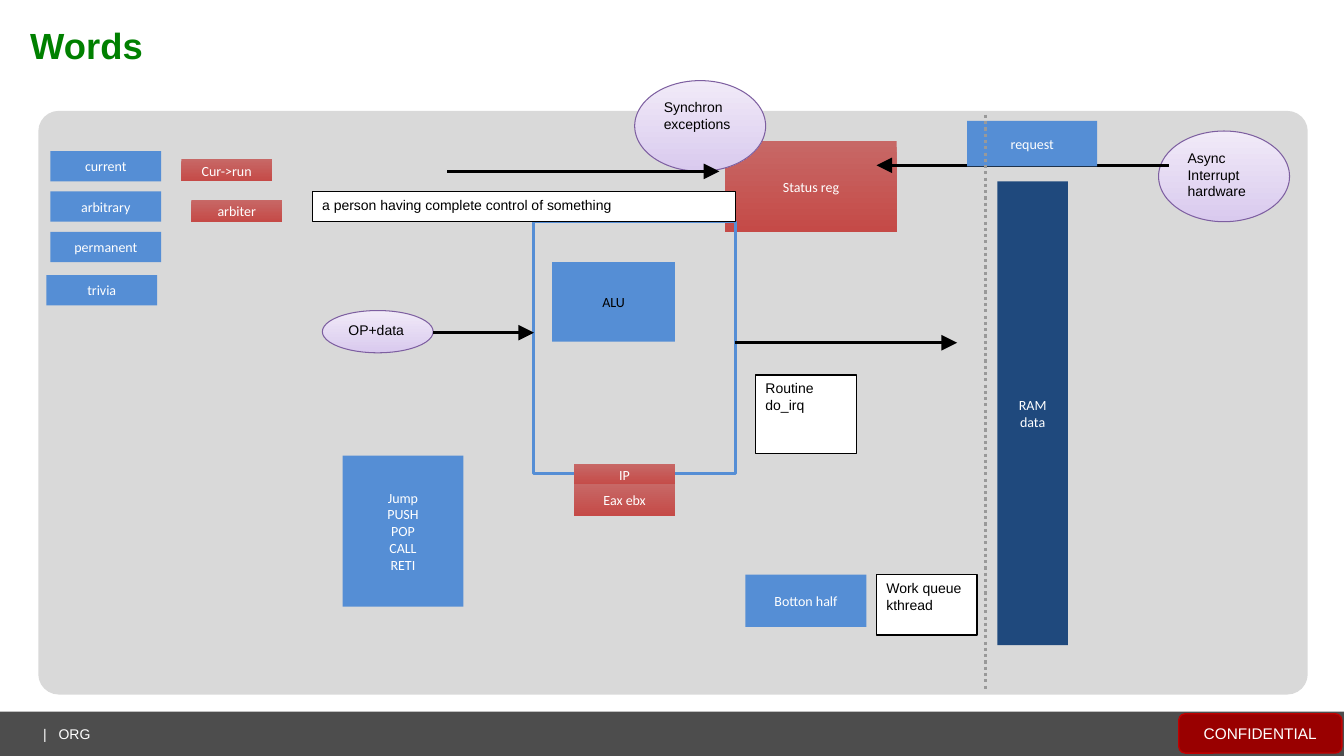
from collections import namedtuple
from dataclasses import dataclass

from lxml.etree import SubElement
from pptx import Presentation
from pptx.dml.color import RGBColor
from pptx.enum.dml import MSO_LINE
from pptx.enum.shapes import MSO_CONNECTOR, MSO_SHAPE
from pptx.enum.text import MSO_ANCHOR, MSO_AUTO_SIZE, PP_ALIGN
from pptx.oxml import parse_xml
from pptx.oxml.ns import nsdecls, qn
from pptx.util import Pt

Box = namedtuple("Box", "x y w h")
Style = namedtuple("Style", "fill line width ink font centred", defaults=(None, 0, "FFFFFF", "Calibri", True))


@dataclass(frozen=True)
class Theme:
    sans: str = "Arial"
    title_ink: str = "008000"
    arrow: str = "000000"
    divider: str = "999999"
    stroke: float = 2.25
    title_size: int = 26
    badge_size: int = 11
    body_size: int = 10
    blue: Style = Style(["558ED5"])
    alu: Style = Style(["558ED5"], ink="000000")
    navy: Style = Style(["1F497D"])
    red: Style = Style(["C76866", "C54A47"])
    lilac: Style = Style(["F1EAF8", "D9CAEE"], "7D5FA0", 0.75, "000000", "Arial", False)
    note: Style = Style(["FFFFFF"], "000000", 1, "000000", "Arial", False)
    core: Style = Style([], "558ED5", 2.25)
    panel: Style = Style(["D9D9D9"])
    footer: Style = Style(["4D4D4D"])
    badge: Style = Style(["990000"], "C00000", 1, "FFFFFF", "Arial")


T = Theme()


def place(sp, box):
    sp.left, sp.top, sp.width, sp.height = map(Pt, box)


def format_text(tf, text, size, ink, font, align, bold=False):
    tf.text = text
    tf.word_wrap = True
    for p in tf.paragraphs:
        p.alignment = align
        p.font.size = Pt(size)
        p.font.name = font
        p.font.bold = bold
        p.font.color.rgb = RGBColor.from_string(ink)


def add_box(slide, box, style, text="", kind=MSO_SHAPE.RECTANGLE, size=T.body_size):
    sp = slide.shapes.add_shape(kind, *map(Pt, box))
    sp.shadow.inherit = False
    colours = [RGBColor.from_string(c) for c in style.fill]
    if len(colours) == 2:
        sp.fill.gradient()
        sp.fill.gradient_angle = 270
        for stop, colour in zip(sp.fill.gradient_stops, colours):
            stop.color.rgb = colour
    elif colours:
        sp.fill.solid()
        sp.fill.fore_color.rgb = colours[0]
    else:
        sp.fill.background()
    if style.line:
        sp.line.color.rgb = RGBColor.from_string(style.line)
        sp.line.width = Pt(style.width)
    else:
        sp.line.fill.background()
    if text:
        tf = sp.text_frame
        tf.vertical_anchor = MSO_ANCHOR.MIDDLE if style.centred else MSO_ANCHOR.TOP
        align = PP_ALIGN.CENTER if style.centred else PP_ALIGN.LEFT
        format_text(tf, text, size, style.ink, style.font, align)
    return sp


def add_line(slide, x1, y1, x2, y2, colour):
    line = slide.shapes.add_connector(MSO_CONNECTOR.STRAIGHT, *map(Pt, (x1, y1, x2, y2)))
    line.line.color.rgb = RGBColor.from_string(colour)
    line.line.width = Pt(T.stroke)
    SubElement(line._element.spPr, qn("a:effectLst"))
    return line


def add_arrow(slide, x1, x2, y):
    ln = add_line(slide, x1, y, x2, y, T.arrow).line._get_or_add_ln()
    SubElement(ln, qn("a:tailEnd"), type="triangle", w="lg", len="lg")


def draw_title(slide, box):
    title = slide.shapes.title
    place(title, box)
    tf = title.text_frame
    tf.auto_size = MSO_AUTO_SIZE.NONE
    tf.vertical_anchor = MSO_ANCHOR.BOTTOM
    tf.margin_left = tf.margin_top = tf.margin_bottom = 0
    format_text(tf, "Words", T.title_size, T.title_ink, T.sans, PP_ALIGN.LEFT, True)


def draw_footer(slide, box):
    x, y, w, h = box
    add_box(slide, box, T.footer)
    badge = Box(x + w - 118.1, y + 1.5, 116.6, 28.1)
    add_box(slide, badge, T.badge, "CONFIDENTIAL", MSO_SHAPE.ROUNDED_RECTANGLE, T.badge_size)
    owner = slide.shapes.add_textbox(*map(Pt, (x + 23.8, y + 5.2, 136, 20.9)))
    tf = owner.text_frame
    tf.margin_top = tf.margin_bottom = 0
    tf.vertical_anchor = MSO_ANCHOR.MIDDLE
    format_text(tf, "|\tORG", T.body_size, "FFFFFF", T.sans, PP_ALIGN.LEFT)
    tabs = parse_xml(f'<a:tabLst {nsdecls("a")}><a:tab pos="{Pt(11)}" algn="l"/></a:tabLst>')
    tf.paragraphs[0]._p.get_or_add_pPr().insert(0, tabs)


def draw_panel(slide, box):
    panel = add_box(slide, box, T.panel, kind=MSO_SHAPE.ROUNDED_RECTANGLE)
    panel.adjustments[0] = 0.035


def draw_interrupts(slide, box):
    x, y, w, h = box
    add_box(slide, Box(x + 198.7, y + 43.2, 122.4, h), T.red, "Status reg")
    sources = [(133.9, 0, "Synchron\nexceptions"), (508.3, 36, "Async\nInterrupt\nhardware")]
    for dx, dy, text in sources:
        add_box(slide, Box(x + dx, y + dy, 93.6, h), T.lilac, text, MSO_SHAPE.OVAL)
    add_arrow(slide, x, x + 194.4, y + h)
    add_arrow(slide, x + 515.5, x + 306.7, y + 60.5)
    add_box(slide, Box(x + 371.5, y + 28.8, 92.9, 32.4), T.blue, "request")


def draw_processor(slide, box):
    x, y, w, h = box
    add_box(slide, box, T.core)
    add_box(slide, Box(x + 13, y + 28.8, 87.8, 56.9), T.alu, "ALU")
    add_box(slide, Box(x - 151.2, y + 63.4, 79.2, 30.2), T.lilac, "OP+data", MSO_SHAPE.OVAL)
    add_arrow(slide, x - 72, x, y + 79.2)
    add_arrow(slide, x + w, x + w + 158.4, y + 86.4)
    add_box(slide, Box(x + 28.8, y + h - 7.2, 72, 15.8), T.red, "IP")
    add_box(slide, Box(x + 28.8, y + h + 7.2, 72, 23), T.red, "Eax ebx")
    add_box(slide, Box(x - 136.8, y + 167, 86.4, 108), T.blue, "Jump\nPUSH\nPOP\nCALL\nRETI")


def draw_memory(slide, box):
    x, y, w, h = box
    divider = add_line(slide, x, y, x, y + h, T.divider)
    divider.line.dash_style = MSO_LINE.ROUND_DOT
    add_box(slide, Box(x + 8.6, y + 47.5, w - 8.6, 331.2), T.navy, "RAM\ndata")


def draw_handlers(slide, box):
    x, y, w, h = box
    add_box(slide, Box(x + 7.2, y, 72, 56.2), T.note, "Routine\ndo_irq")
    add_box(slide, Box(x, y + h - 43.2, 86.4, 37.4), T.blue, "Botton half")
    add_box(slide, Box(x + w - 72, y + h - 43.2, 72, 43.2), T.note, "Work queue\nkthread")


def draw_words(slide, box):
    x, y, w, h = box
    step = 28.8
    for i, word in enumerate(["current", "arbitrary", "permanent"]):
        add_box(slide, Box(x + 2.9, y + i * step, 79.2, 21.6), T.blue, word)
    add_box(slide, Box(x, y + h - 21.6, 79.2, 21.6), T.blue, "trivia")
    for i, word in enumerate(["Cur->run", "arbiter"]):
        add_box(slide, Box(x + 96.5 + i * 7.2, y + 5.8 + i * step, 64.8, 15.8), T.red, word)
    meaning = "a person having complete control of something"
    add_box(slide, Box(x + w - 302.4, y + step, 302.4, 21.6), T.note, meaning)


def main():
    prs = Presentation()
    prs.slide_width, prs.slide_height = Pt(960.5), Pt(540)
    slide = prs.slides.add_slide(prs.slide_layouts[5])
    draw_title(slide, Box(21.6, 13.7, 916.6, 33.8))
    draw_footer(slide, Box(0, 508.3, 960.5, 31.7))
    draw_panel(slide, Box(27.4, 79.2, 907.2, 416.9))
    draw_interrupts(slide, Box(319.7, 57.6, 601.9, 64.8))
    draw_processor(slide, Box(381.6, 158.4, 144, 180))
    draw_memory(slide, Box(704.2, 82.1, 59, 410.4))
    draw_handlers(slide, Box(532.8, 267.8, 165.6, 185.8))
    draw_words(slide, Box(33.1, 108, 492.5, 110.2))
    prs.save("out.pptx")


main()
